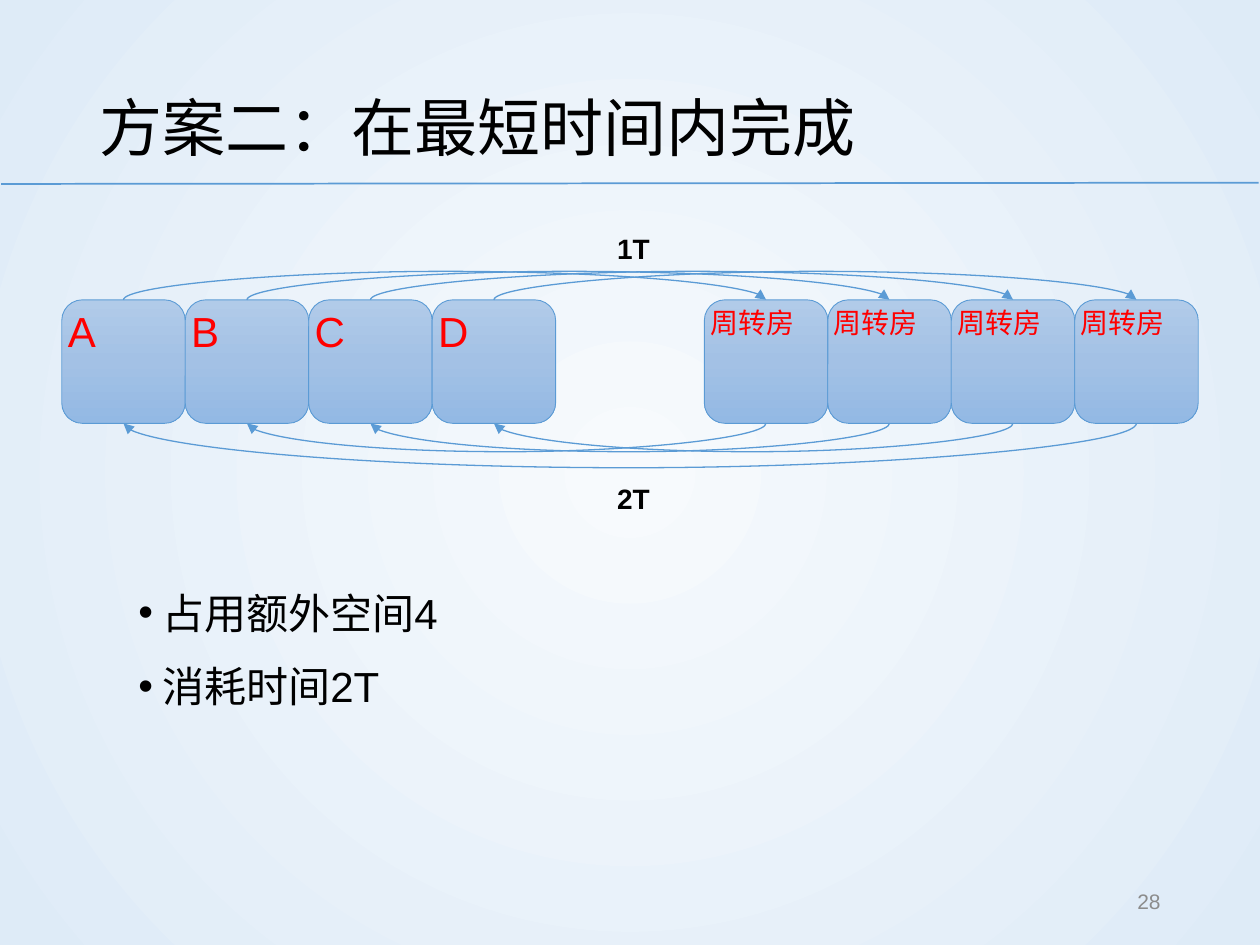
import pptx
import pptx.util
import pptx.dml.color
import pptx.enum.shapes
import pptx.enum.text
import pptx.oxml
import pptx.oxml.ns
from dataclasses import dataclass
from typing import Optional

Inches, Pt = pptx.util.Inches, pptx.util.Pt
MSO_CONNECTOR = pptx.enum.shapes.MSO_CONNECTOR
PP_ALIGN = pptx.enum.text.PP_ALIGN
MSO_ANCHOR = pptx.enum.text.MSO_ANCHOR
qn = pptx.oxml.ns.qn

BLUE, RED, BLACK, GREY = "5B9BD5", "FF0000", "000000", "8C8C8C"
BOX, ROW_TOP = 0.98, 2.38
HOUSES_LEFT, SPARES_LEFT = 0.49, 5.59
SPAN_DEPTH = pptx.util.Emu(1588)  # near-zero extent that the bulge is measured against
TOP_SITE, BOTTOM_SITE = 0, 2


@dataclass
class Label:
    lines: list[str]
    left: float
    top: float
    width: float
    height: float
    size: float
    color: str = BLACK
    bold: bool = False
    align: Optional[PP_ALIGN] = None
    anchor: MSO_ANCHOR = MSO_ANCHOR.TOP
    spacing: Optional[float] = None
    before: float = 0
    bullet: bool = False


@dataclass
class Move:
    start: int
    end: int
    bulge: float
    upward: bool


def rgb(value: str) -> pptx.dml.color.RGBColor:
    return pptx.dml.color.RGBColor.from_string(value)


def set_attrs(obj, values: dict) -> None:
    for name, value in values.items():
        setattr(obj, name, value)


def add_xml(parent, tag: str, **attrs):
    child = parent.makeelement(qn(tag), attrs)
    parent.append(child)
    return child


def set_gradient(fill, parent, stops: list[tuple[int, str]], radial: bool = False) -> None:
    fill.gradient()
    grad = parent.find(".//" + qn("a:gradFill"))
    for child in list(grad):
        grad.remove(child)
    stop_list = add_xml(grad, "a:gsLst")
    for position, color in stops:
        stop = add_xml(stop_list, "a:gs", pos=str(position * 1000))
        add_xml(stop, "a:srgbClr", val=color)
    if radial:
        centre = add_xml(grad, "a:path", path="circle")
        add_xml(centre, "a:fillToRect", l="50000", t="50000", r="50000", b="50000")
    else:
        add_xml(grad, "a:lin", ang="5400000", scaled="0")


def add_run(p, text: str, size: float, color: str, bold: bool = False) -> None:
    r = p.add_run()
    r.text = text
    set_attrs(r.font, {"name": "Arial", "size": Pt(size), "bold": bold})
    r.font.color.rgb = rgb(color)


def add_label(s, item: Label) -> None:
    tb = s.shapes.add_textbox(*map(Inches, (item.left, item.top, item.width, item.height)))
    tf = tb.text_frame
    set_attrs(tf, {"word_wrap": True, "vertical_anchor": item.anchor})
    for i, text in enumerate(item.lines):
        p = tf.paragraphs[0] if i == 0 else tf.add_paragraph()
        set_attrs(p, {"alignment": item.align, "line_spacing": item.spacing,
                      "space_before": Pt(item.before)})
        if item.bullet:
            pPr = p._p.get_or_add_pPr()
            pPr.set("marL", str(Inches(0.19)))
            pPr.set("indent", str(-Inches(0.19)))
            add_xml(pPr, "a:buFont", typeface="Arial")
            add_xml(pPr, "a:buChar", char="•")
        add_run(p, text, item.size, item.color, item.bold)


def add_box(s, text: str, left: float, size: float):
    sp = s.shapes.add_shape(pptx.enum.shapes.MSO_SHAPE.ROUNDED_RECTANGLE,
                            *map(Inches, (left, ROW_TOP, BOX, BOX)))
    sp.shadow.inherit = False
    set_gradient(sp.fill, sp._element.spPr, [(0, "B1CBE9"), (50, "A3C1E5"), (100, "93B9E4")])
    sp.line.color.rgb = rgb(BLUE)
    sp.line.width = Pt(0.5)
    tf = sp.text_frame
    set_attrs(tf, {"margin_left": 0, "margin_top": 0, "margin_right": Inches(0.2),
                   "margin_bottom": 0, "word_wrap": True,
                   "vertical_anchor": MSO_ANCHOR.TOP})
    p = tf.paragraphs[0]
    p.alignment = PP_ALIGN.LEFT
    before = add_xml(p._p.get_or_add_pPr(), "a:spcBef")
    add_xml(before, "a:spcPct", val="50000")
    add_run(p, text, size, RED)
    return sp


def add_line(s, kind, ends: tuple, width: float):
    cx = s.shapes.add_connector(kind, *map(Inches, ends))
    cx.line.color.rgb = rgb(BLUE)
    cx.line.width = Pt(width)
    add_xml(cx._element.spPr, "a:effectLst")
    return cx


def add_move(s, boxes: list, move: Move) -> None:
    """Curved arrow between two boxes, bulging above or below the row."""
    site = TOP_SITE if move.upward else BOTTOM_SITE
    cx = add_line(s, MSO_CONNECTOR.CURVE, (0, 0, 1, 1), 0.75)
    start, end = boxes[move.start], boxes[move.end]
    cx.begin_connect(start, site)
    cx.end_connect(end, site)

    # The preset bulges sideways, so it is laid flat by a quarter turn
    x1, x2 = (b.left + b.width // 2 for b in (start, end))
    y = start.top if move.upward else start.top + start.height
    length = abs(x2 - x1)
    xfrm = cx._element.spPr.find(qn("a:xfrm"))
    for name in ("flipH", "flipV"):
        xfrm.attrib.pop(name, None)
        if move.upward:
            xfrm.set(name, "1")
    xfrm.set("rot", "5400000")
    set_attrs(cx, {"left": (x1 + x2 - SPAN_DEPTH) // 2, "top": y - length // 2,
                   "width": SPAN_DEPTH, "height": length})
    geom = cx._element.spPr.find(qn("a:prstGeom"))
    guides = geom.find(qn("a:avLst"))
    if guides is None:
        guides = add_xml(geom, "a:avLst")
    ratio = round(Inches(move.bulge) / SPAN_DEPTH * 100000)
    add_xml(guides, "a:gd", name="adj1", fmla=f"val {ratio}")
    add_xml(cx.line._get_or_add_ln(), "a:tailEnd", type="triangle")


def main() -> None:
    prs = pptx.Presentation()
    set_attrs(prs, {"slide_width": Inches(10), "slide_height": Inches(7.5)})
    s = prs.slides.add_slide(prs.slide_layouts[6])

    # Background and title rule
    set_gradient(s.background.fill, s._element, [(0, "F7FAFD"), (100, "DEEBF7")], radial=True)
    add_line(s, MSO_CONNECTOR.STRAIGHT, (0.01, 1.46, 9.99, 1.45), 1)

    # Title, findings, page number and step times
    for item in (
        Label(["方案二：在最短时间内完成"], 0.69, 0.4, 8.62, 1.08, 36,
              anchor=MSO_ANCHOR.MIDDLE, spacing=1.2),
        Label(["占用额外空间4", "消耗时间2T"], 1, 4.53, 8.06, 2.13, 24,
              spacing=1.2, before=7.5, bullet=True),
        Label(["28"], 7.06, 6.95, 2.25, 0.4, 12, GREY,
              align=PP_ALIGN.RIGHT, anchor=MSO_ANCHOR.MIDDLE),
        Label(["1T"], 4.8, 1.79, 0.59, 0.37, 16, bold=True),
        Label(["2T"], 4.8, 3.77, 0.59, 0.37, 16, bold=True),
    ):
        add_label(s, item)

    # Houses on the left, spare houses on the right
    boxes = [add_box(s, name, HOUSES_LEFT + i * BOX, 24) for i, name in enumerate("ABCD")]
    boxes += [add_box(s, "周转房", SPARES_LEFT + i * BOX, 16) for i in range(4)]

    # Everyone moves out, then back in shifted by one house
    for i in range(4):
        add_move(s, boxes, Move(i, i + 4, 0.25, True))
    for i in range(4):
        add_move(s, boxes, Move(i + 4, (i + 1) % 4, 0.39 if i == 3 else 0.25, False))

    prs.save("out.pptx")


if __name__ == "__main__":
    main()
